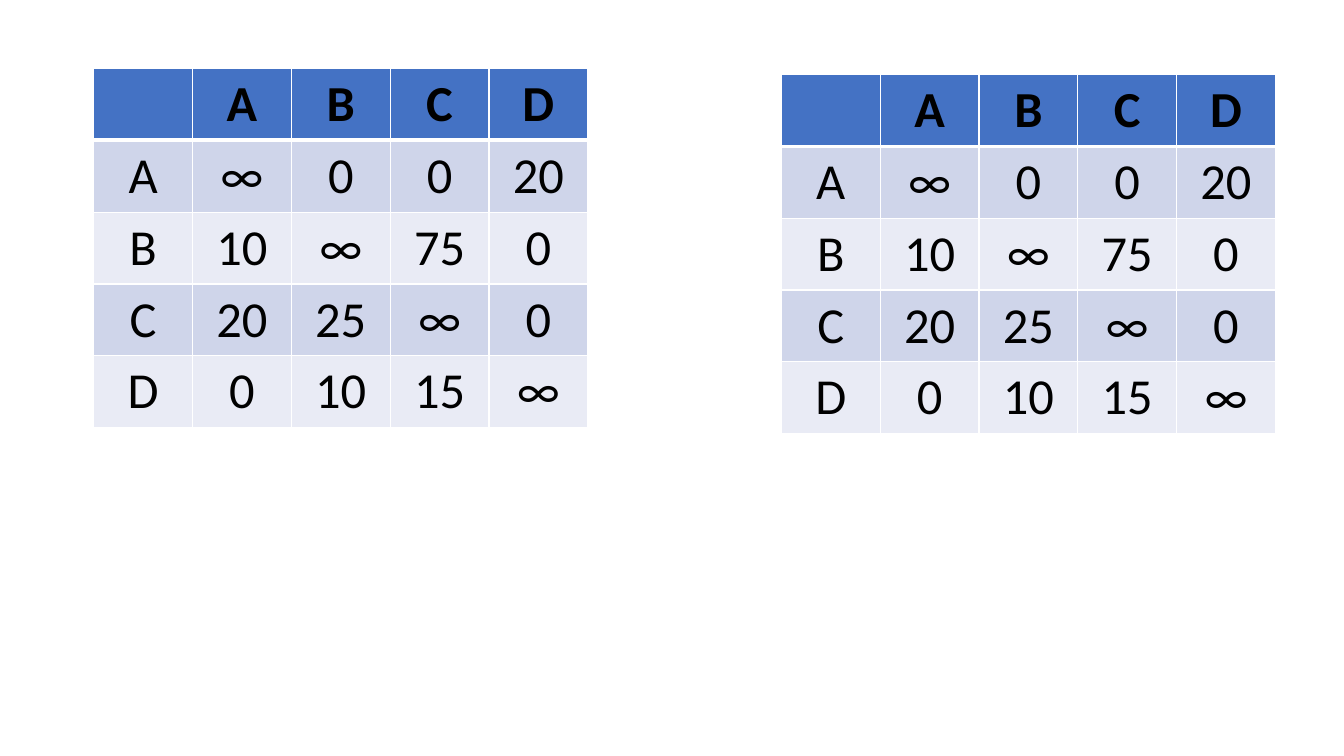
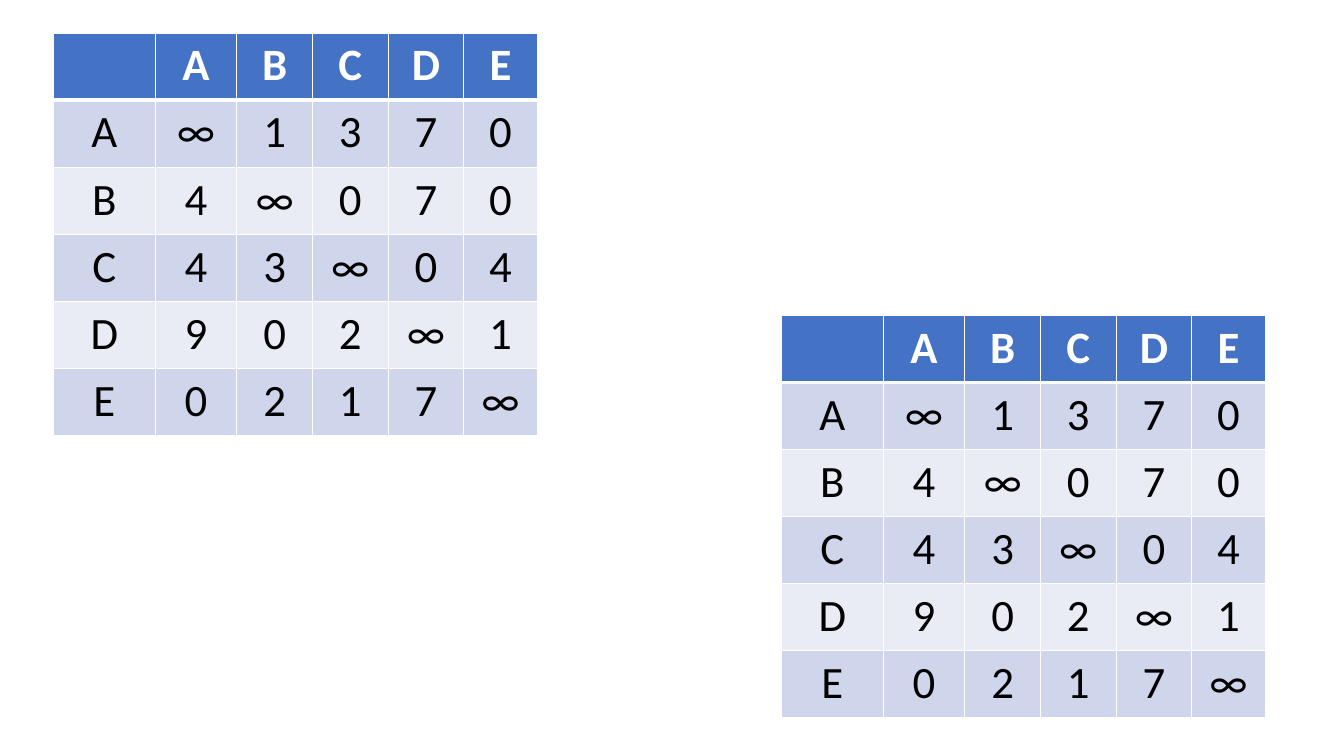
from lxml import etree
from pptx import Presentation
from pptx.dml.color import RGBColor
from pptx.enum.text import PP_ALIGN
from pptx.oxml.ns import qn
from pptx.util import Pt

CENTER = PP_ALIGN.CENTER
PX = 9144  # 100 px to the inch
FONT = "Calibri"
BLANK = 6

COLORS = {
    "head": "4472C4",
    "odd": "CFD5EA",
    "even": "E9EBF5",
    "line": "FFFFFF",
    "white": "FFFFFF",
    "black": "000000",
}

# Cost matrices, one row per start node
FOUR = ["∞ 0 0 20", "10 ∞ 75 0", "20 25 ∞ 0", "0 10 15 ∞"]
FIVE = ["∞ 1 3 7 0", "4 ∞ 0 7 0", "4 3 ∞ 0 4", "9 0 2 ∞ 1", "0 2 1 7 ∞"]

# Look of each matrix: column widths and full height in px, text in points
FOUR_LOOK = {"cols": [98] * 5, "high": 350, "size": 36, "head": "black"}
FIVE_LOOK = {"cols": [101, 81, 75, 75, 75, 73], "high": 399, "size": 32,
             "head": "white"}


def rgb(name):
    return RGBColor.from_string(COLORS[name])


def add_edge(cell, side, width):
    """Draw one solid cell border; width in points."""
    edge = etree.SubElement(cell._tc.get_or_add_tcPr(), qn("a:ln" + side),
                            w=str(Pt(width)))
    fill = etree.SubElement(edge, qn("a:solidFill"))
    etree.SubElement(fill, qn("a:srgbClr"), val=COLORS["line"])


def fill_cell(cell, text, row, look):
    # Borders: a thick rule parts the header from the body
    thick = {(0, "B"), (1, "T")}
    for side in "LRTB":
        add_edge(cell, side, 3 if (row, side) in thick else 1)

    # Fill: header, then alternating bands
    band = "head" if row == 0 else ("odd" if row % 2 else "even")
    cell.fill.solid()
    cell.fill.fore_color.rgb = rgb(band)

    # Text
    para = cell.text_frame.paragraphs[0]
    para.alignment = CENTER
    if text:
        run = para.add_run()
        run.text = text
        font = run.font
        font.name = FONT
        font.size = Pt(look["size"])
        font.bold = row == 0
        font.color.rgb = rgb(look["head"] if row == 0 else "black")


def add_matrix(slide, left, top, costs, look):
    """Add a cost matrix with lettered rows and columns."""
    names = "ABCDE"[:len(costs)]
    rows = [["", *names]]
    rows += [[name, *line.split()] for name, line in zip(names, costs)]

    count = len(rows)
    cols = look["cols"]
    frame = slide.shapes.add_table(count, count, left * PX, top * PX,
                                   sum(cols) * PX, look["high"] * PX)
    table = frame.table
    table.horz_banding = False
    for col, width in zip(table.columns, cols):
        col.width = width * PX
    for r, line in enumerate(rows):
        for c, text in enumerate(line):
            fill_cell(table.cell(r, c), text, r, look)


def main():
    deck = Presentation()
    deck.slide_width = 1333 * PX
    deck.slide_height = 750 * PX
    blank = deck.slide_layouts[BLANK]

    # Slide 1: four nodes
    slide = deck.slides.add_slide(blank)
    for left, top in [(93, 68), (775, 74)]:
        add_matrix(slide, left, top, FOUR, FOUR_LOOK)

    # Slide 2: five nodes
    slide = deck.slides.add_slide(blank)
    for left, top in [(53, 33), (775, 313)]:
        add_matrix(slide, left, top, FIVE, FIVE_LOOK)

    deck.save("out.pptx")


if __name__ == "__main__":
    main()
